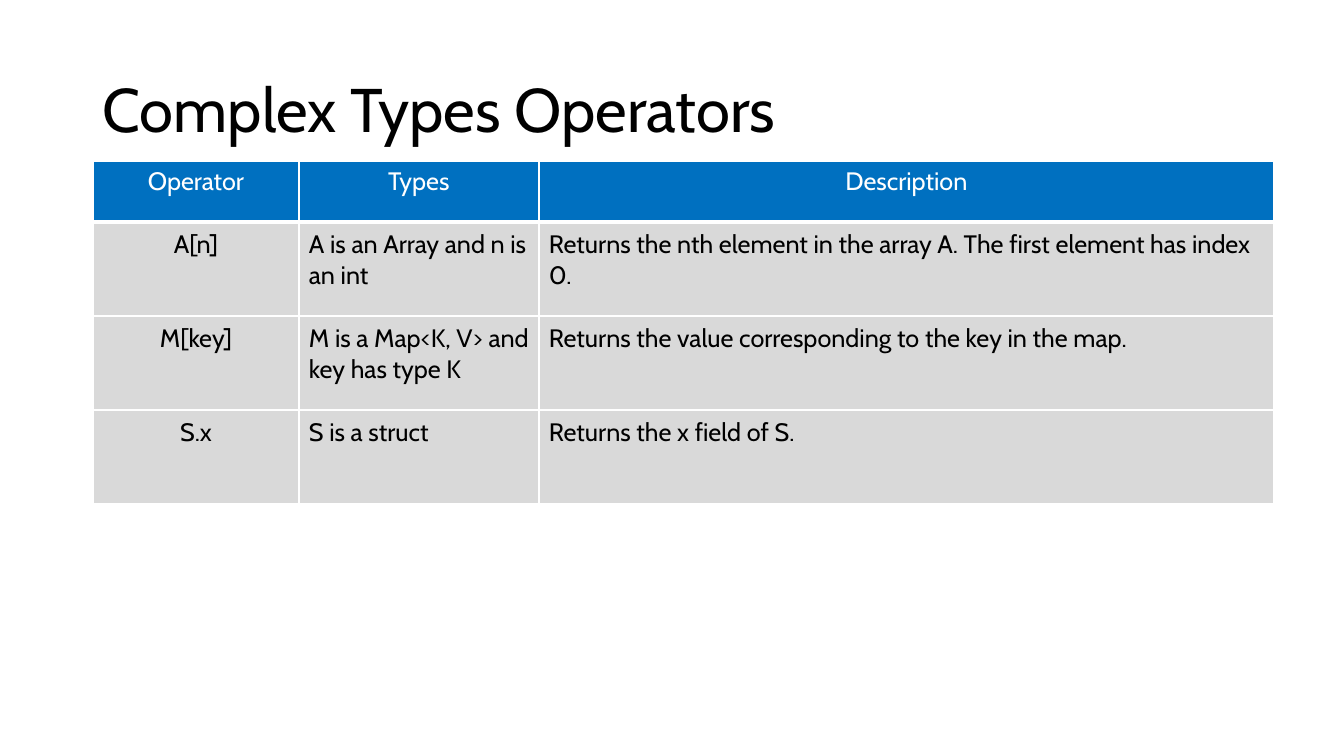
from lxml import etree
from pptx import Presentation
from pptx import util as u
from pptx.dml.color import RGBColor
from pptx.enum import text as t
from pptx.oxml.ns import qn

# Content
TITLE = "Complex Types Operators"
ROWS = [
    ("Operator", "Types", "Description"),
    ("A[n]", "A is an Array and n is an int",
     "Returns the nth element in the array A. The first element has index 0."),
    ("M[key]", "M is a Map<K, V> and key has type K",
     "Returns the value corresponding to the key in the map."),
    ("S.x", "S is a struct", "Returns the x field of S."),
]

# Format
FONT = "Cabin"
BLACK = RGBColor(0, 0, 0)
WHITE = RGBColor(255, 255, 255)
BLUE = RGBColor(0, 112, 192)
GRAY = RGBColor(217, 217, 217)
LEFT, TOP = 93, 161
COLS = [206, 240, 735]
HEAD, BODY = 61, 94


def px(n):
    return u.Emu(round(n * 9144 * 100 / 100.8))


def write(frame, words, size=18, color=BLACK, align=t.PP_ALIGN.LEFT, space=1.0):
    frame.word_wrap = True
    para = frame.paragraphs[0]
    para.alignment = align
    para.line_spacing = space
    run = para.add_run()
    run.text = words
    run.font.name = FONT
    run.font.size = u.Pt(size)
    run.font.color.rgb = color


def edge(cell, side, points):
    props = cell._tc.get_or_add_tcPr()
    line = etree.SubElement(props, qn(f"a:ln{side}"), w=str(u.Pt(points)))
    fill = etree.SubElement(line, qn("a:solidFill"))
    etree.SubElement(fill, qn("a:srgbClr"), val=str(WHITE))


def main():
    deck = Presentation()
    deck.slide_width, deck.slide_height = px(1344), px(756)
    slide = deck.slides.add_slide(deck.slide_layouts[6])

    # Title
    box = slide.shapes.add_textbox(px(LEFT), px(40), px(1159), px(146))
    box.text_frame.vertical_anchor = t.MSO_ANCHOR.MIDDLE
    write(box.text_frame, TITLE, size=44, space=0.9)

    # Table
    high = [HEAD] + [BODY] * (len(ROWS) - 1)
    grid = slide.shapes.add_table(len(ROWS), len(COLS), px(LEFT), px(TOP),
                                  px(sum(COLS)), px(sum(high))).table
    for col, wide in zip(grid.columns, COLS):
        col.width = px(wide)
    for row, tall in zip(grid.rows, high):
        row.height = px(tall)

    # Cells
    for r, row in enumerate(ROWS):
        head = r == 0
        for c, words in enumerate(row):
            cell = grid.cell(r, c)
            mid = head or c == 0
            write(cell.text_frame, words, color=WHITE if head else BLACK,
                  align=t.PP_ALIGN.CENTER if mid else t.PP_ALIGN.LEFT)
            cell.margin_left = cell.margin_right = px(10)
            cell.margin_top = cell.margin_bottom = px(5 if head else 7)
            for side in "LRTB":
                thick = (head and side == "B") or (r == 1 and side == "T")
                edge(cell, side, 3 if thick else 1)
            cell.fill.solid()
            cell.fill.fore_color.rgb = BLUE if head else GRAY

    deck.save("out.pptx")


if __name__ == "__main__":
    main()
